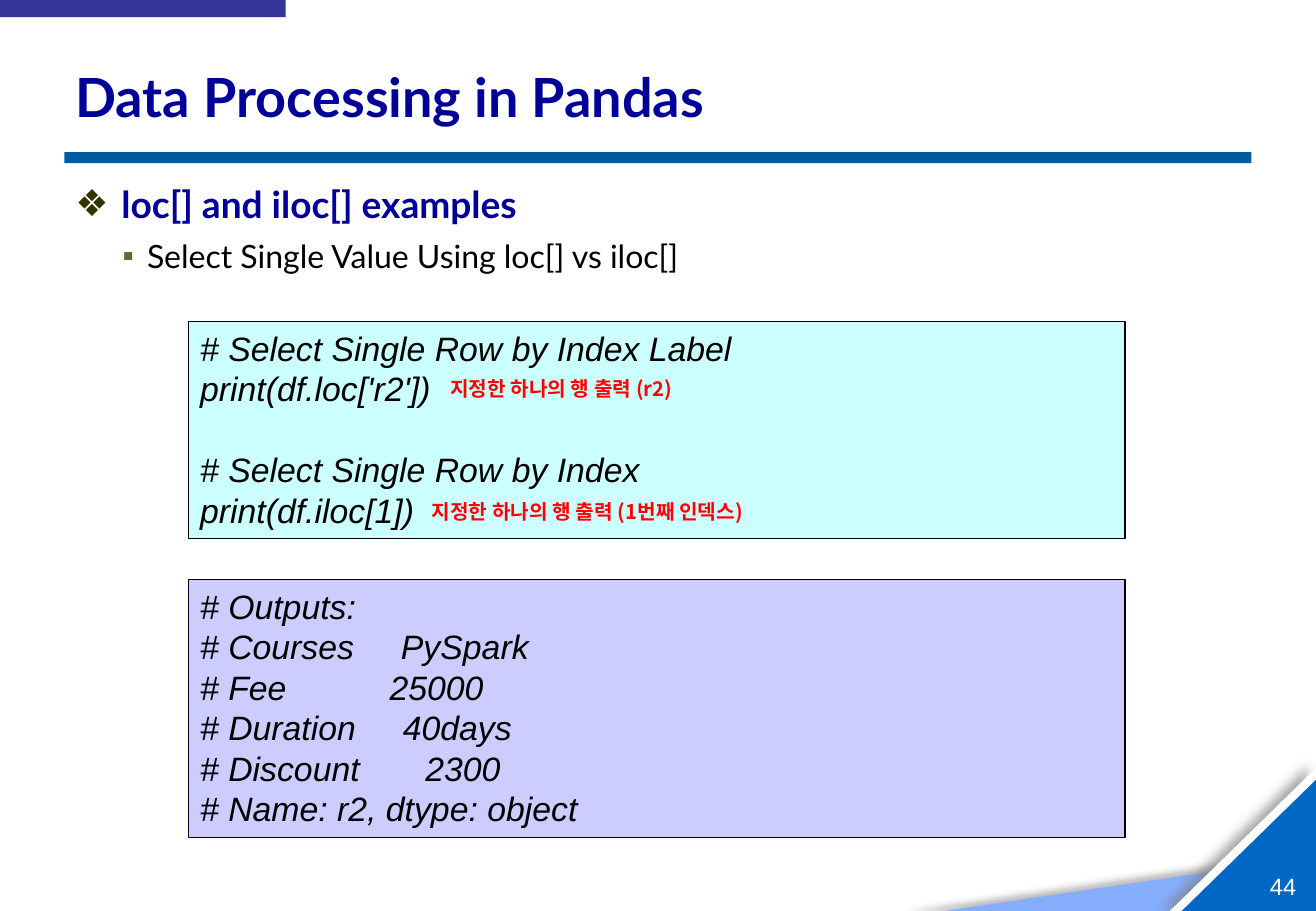
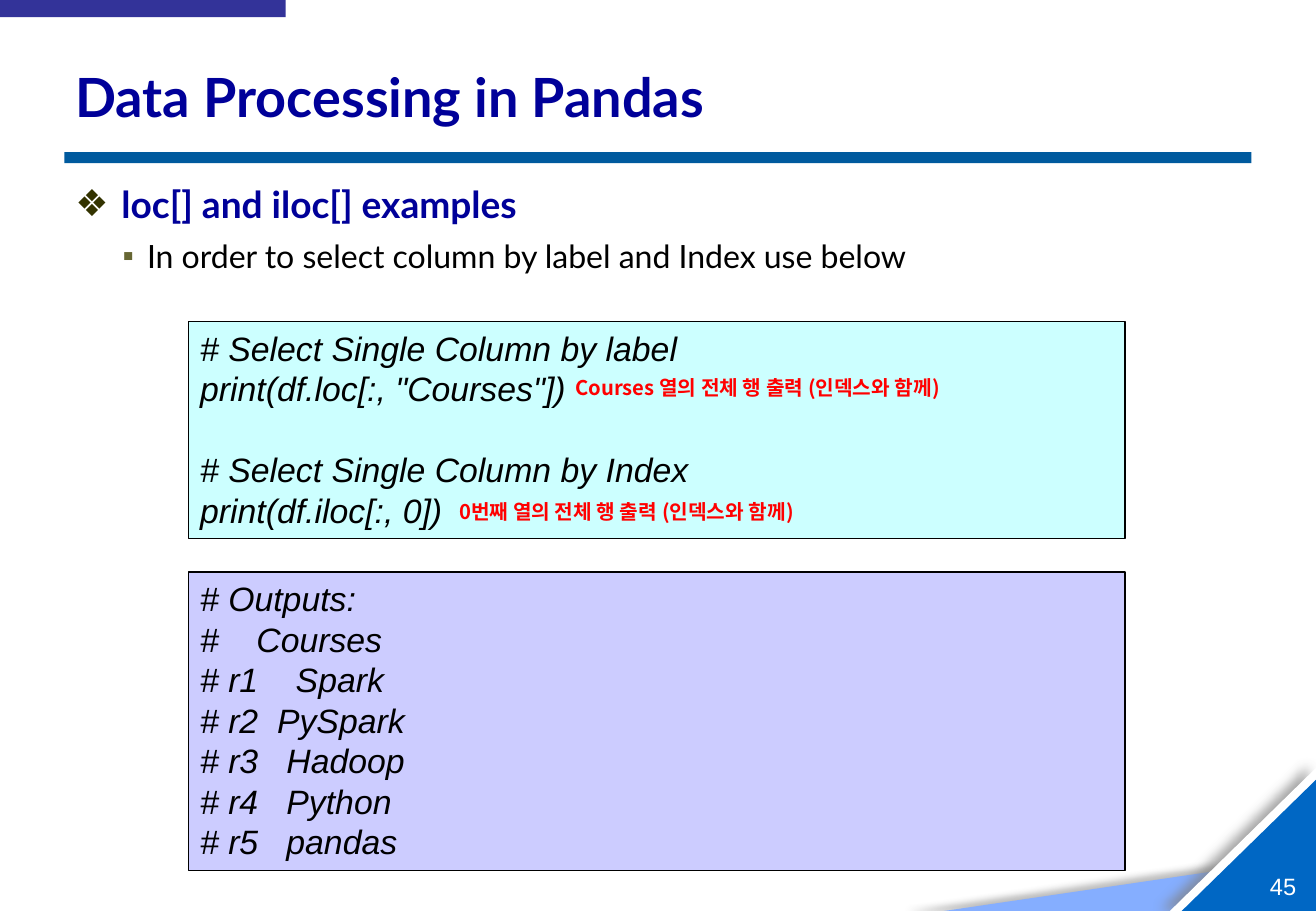
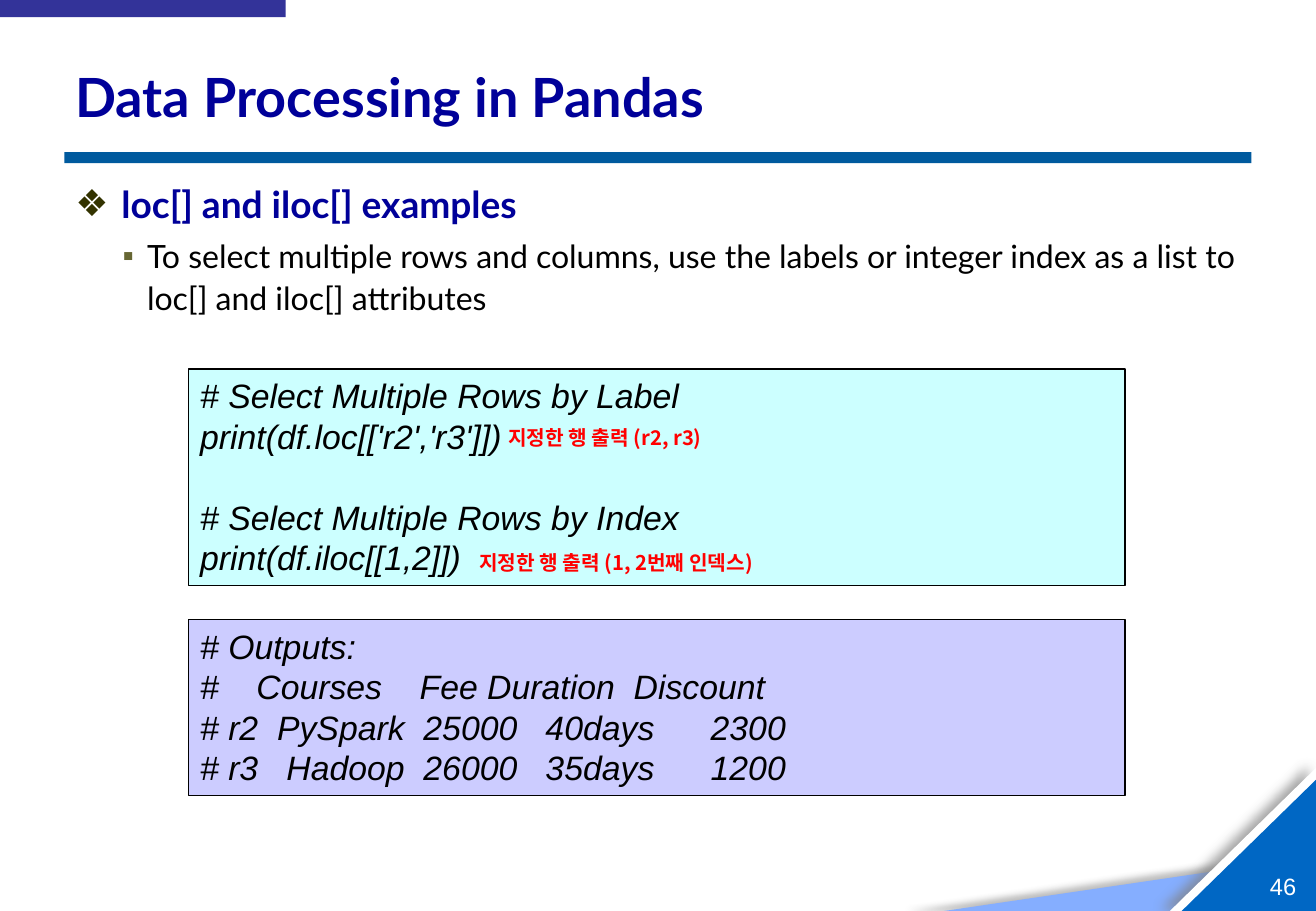
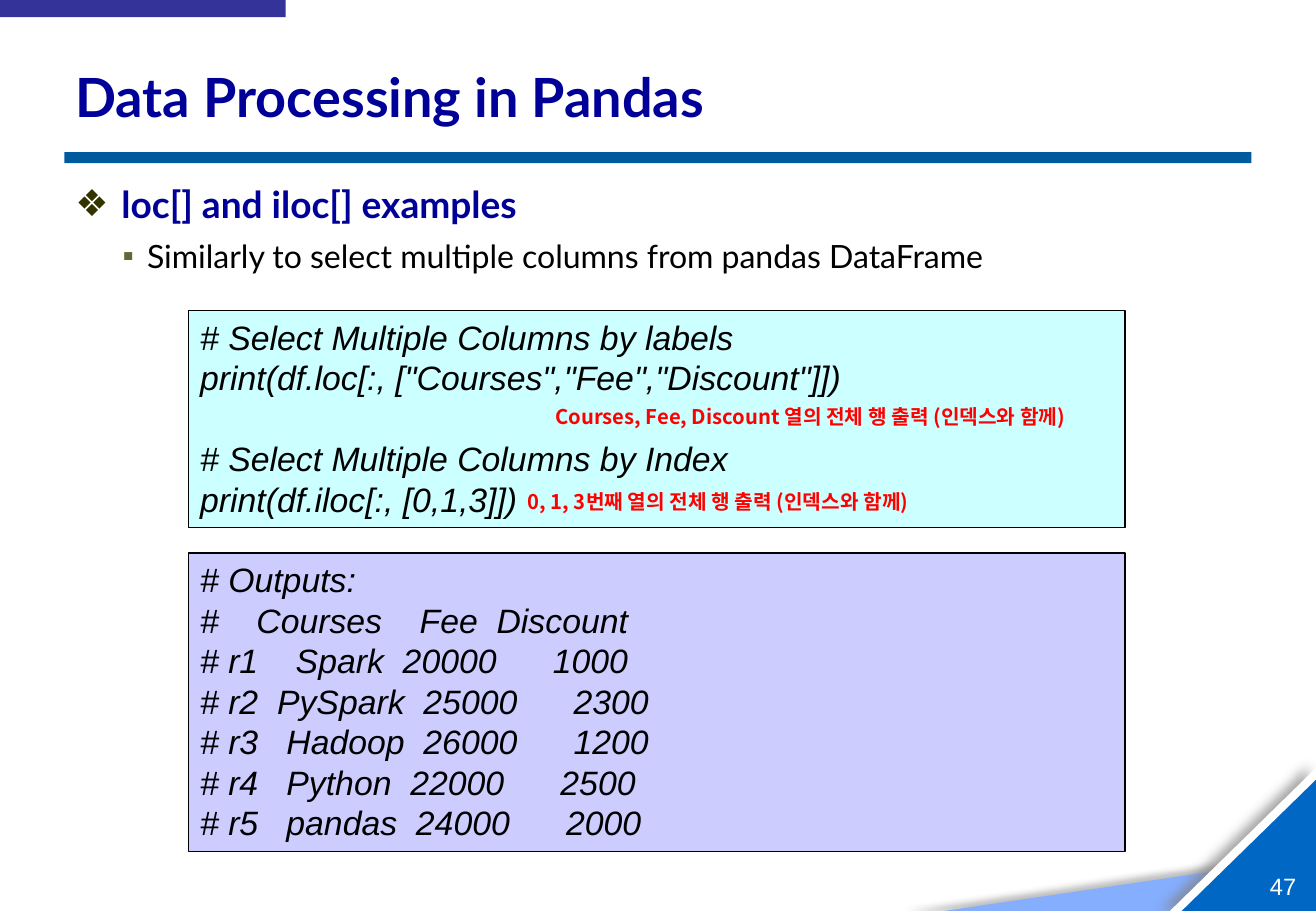
"""Four slides on selecting rows and columns with loc[] and iloc[] in pandas."""
from lxml.etree import SubElement
from pptx import Presentation
from pptx.dml.color import RGBColor
from pptx.enum.shapes import MSO_SHAPE
from pptx.enum.text import MSO_ANCHOR, MSO_AUTO_SIZE, PP_ALIGN
from pptx.oxml.ns import qn
from pptx.util import Inches, Pt

BLACK = RGBColor(0x00, 0x00, 0x00)
WHITE = RGBColor(0xFF, 0xFF, 0xFF)
RED = RGBColor(0xFF, 0x00, 0x00)
NAVY = RGBColor(0x00, 0x00, 0x99)
INDIGO = RGBColor(0x33, 0x33, 0x99)
RULE_BLUE = RGBColor(0x00, 0x5A, 0x9E)
CORNER_BLUE = RGBColor(0x00, 0x67, 0xC4)
PALE_BLUE = RGBColor(0x85, 0xAE, 0xFF)
CYAN = RGBColor(0xCC, 0xFF, 0xFF)
LILAC = RGBColor(0xCC, 0xCC, 0xFF)
DARK_OLIVE = RGBColor(0x33, 0x33, 0x00)
OLIVE = RGBColor(0x66, 0x66, 0x33)
DARK_GREY = RGBColor(0x59, 0x59, 0x59)
GREY = RGBColor(0x80, 0x80, 0x80)

TITLE = dict(name="Lato", size=Pt(32), bold=True, color=NAVY)
HEADING = dict(name="Lato", size=Pt(22), bold=True, color=NAVY)
POINT = dict(name="Lato", size=Pt(19), bold=False, color=BLACK)
CODE = dict(name="Arial", size=Pt(20), italic=True, color=BLACK)
NOTE = dict(name="Noto Sans CJK KR", size=Pt(12), bold=True, color=RED)
NUMBER = dict(name="Arial", size=Pt(14), color=WHITE)

prs = Presentation()
prs.slide_width, prs.slide_height = Inches(10.83), Inches(7.5)
COL, ROW = prs.slide_width / 100, prs.slide_height / 100
LINE = Pt(24)
BOX_LEFT, BOX_WIDTH, LINE_ROWS, PAD_ROWS = 14.3, 71.2, 4.5, 1.3


def cell(left, top, width, height):
    """Turn grid columns and rows into slide lengths."""
    return [round(n * unit) for n, unit in zip((left, top, width, height), (COL, ROW, COL, ROW))]


def write(p, text, style):
    """Add a run to a paragraph in the given style."""
    r = p.add_run()
    r.text = text
    for key, value in style.items():
        if key == "color":
            r.font.color.rgb = value
        else:
            setattr(r.font, key, value)
    SubElement(r.font._element, qn("a:ea"), typeface=style["name"])


SLIDES = [
    dict(
        point="Select Single Value Using loc[] vs iloc[]",
        code=(35.3, ["# Select Single Row by Index Label", "print(df.loc['r2'])",
                     "# Select Single Row by Index", "print(df.iloc[1])"]),
        output=(63.6, ["# Outputs:", "# Courses     PySpark", "# Fee           25000",
                       "# Duration     40days", "# Discount       2300",
                       "# Name: r2, dtype: object"]),
        notes=[(31.9, 54.1, 33.4, "지정한 하나의 행 출력 (1번째 인덱스)"),
               (33.3, 40.7, 22.4, "지정한 하나의 행 출력 (r2)")],
    ),
    dict(
        point="In order to select column by label and Index use below",
        code=(35.3, ["# Select Single Column by label", 'print(df.loc[:, "Courses"])',
                     "# Select Single Column by Index", "print(df.iloc[:, 0])"]),
        output=(62.8, ["# Outputs:", "#    Courses", "# r1    Spark", "# r2  PySpark",
                       "# r3   Hadoop", "# r4   Python", "# r5   pandas"]),
        notes=[(42.8, 40.5, 35.6, "Courses 열의 전체 행 출력 (인덱스와 함께)"),
               (34, 54.1, 35.6, "0번째 열의 전체 행 출력 (인덱스와 함께)")],
    ),
    dict(
        point="To select multiple rows and columns, use the labels or integer index "
              "as a list to loc[] and iloc[] attributes",
        code=(40.5, ["# Select Multiple Rows by Label", "print(df.loc[['r2','r3']])",
                     "# Select Multiple Rows by Index", "print(df.iloc[[1,2]])"]),
        output=(68, ["# Outputs:", "#    Courses    Fee Duration  Discount",
                     "# r2  PySpark  25000   40days      2300",
                     "# r3   Hadoop  26000   35days      1200"]),
        notes=[(37.7, 46, 22.4, "지정한 행 출력 (r2, r3)"),
               (35.5, 59.7, 26.9, "지정한 행 출력 (1, 2번째 인덱스)")],
    ),
    dict(
        point="Similarly to select multiple columns from pandas DataFrame",
        code=(34.1, ["# Select Multiple Columns by labels",
                     'print(df.loc[:, ["Courses","Fee","Discount"]])',
                     "# Select Multiple Columns by Index", "print(df.iloc[:, [0,1,3]])"]),
        output=(60.7, ["# Outputs:", "#    Courses    Fee  Discount",
                       "# r1    Spark  20000      1000", "# r2  PySpark  25000      2300",
                       "# r3   Hadoop  26000      1200", "# r4   Python  22000      2500",
                       "# r5   pandas  24000      2000"]),
        notes=[(41.3, 43.7, 44.2, "Courses, Fee, Discount 열의 전체 행 출력 (인덱스와 함께)"),
               (39.2, 53.1, 35.6, "0, 1, 3번째 열의 전체 행 출력 (인덱스와 함께)")],
    ),
]

layout = prs.slide_layouts[1]
slides = [prs.slides.add_slide(layout) for _ in SLIDES]

for holder, at in zip(layout.placeholders, [(4.8, 5.3, 90.2, 10.4), (4.8, 19.2, 90.2, 76.5)]):
    holder.left, holder.top, holder.width, holder.height = cell(*at)

DECOR = [
    (MSO_SHAPE.RIGHT_TRIANGLE, (71.74, 94, 28.26, 6), PALE_BLUE, (DARK_GREY, 40, 4, 22, 180)),
    (MSO_SHAPE.RIGHT_TRIANGLE, (88.9, 84.3, 11.1, 15.7), WHITE, (GREY, 69, 7, 5, 190)),
    (MSO_SHAPE.RIGHT_TRIANGLE, (89.8, 85.6, 10.2, 14.4), CORNER_BLUE, None),
    (MSO_SHAPE.RECTANGLE, (4.9, 16.7, 90.2, 1.2), RULE_BLUE, None),
    (MSO_SHAPE.RECTANGLE, (0, 0, 21.7, 1.9), INDIGO, None),
]
for kind, at, fill, shadow in DECOR:
    sp = slides[0].shapes.add_shape(kind, *cell(*at))
    sp.fill.solid()
    sp.fill.fore_color.rgb = fill
    sp.line.fill.background()
    sp.shadow.inherit = False
    if kind == MSO_SHAPE.RIGHT_TRIANGLE:
        sp.element.spPr.get_or_add_xfrm().set("flipH", "1")
    if shadow:
        color, alpha, blur, dist, angle = shadow
        effects = sp.element.spPr.find(qn("a:effectLst"))
        outer = SubElement(effects, qn("a:outerShdw"), blurRad=str(Pt(blur)), dist=str(Pt(dist)),
                           dir=str(angle * 60000), algn="ctr", rotWithShape="0")
        clr = SubElement(outer, qn("a:srgbClr"), val=str(color))
        SubElement(clr, qn("a:alpha"), val=str(alpha * 1000))
    layout.shapes.element.append(sp.element)

for number, (s, content) in enumerate(zip(slides, SLIDES), 44):
    tf = s.shapes.title.text_frame
    tf.auto_size = MSO_AUTO_SIZE.NONE
    tf.vertical_anchor = MSO_ANCHOR.MIDDLE
    p = tf.paragraphs[0]
    p.alignment = PP_ALIGN.LEFT
    write(p, "Data Processing in Pandas", TITLE)

    tf = s.placeholders[1].text_frame
    tf.auto_size = MSO_AUTO_SIZE.NONE
    tf.add_paragraph()
    bullets = [
        ("loc[] and iloc[] examples", HEADING, "❖", DARK_OLIVE, 0.38, -0.38,
         dict(level=0, space_before=Pt(0))),
        (content["point"], POINT, "▪", OLIVE, 0.59, -0.2,
         dict(level=1, line_spacing=1.1, space_before=Pt(4), space_after=Pt(1))),
    ]
    for p, (text, style, mark, color, margin, indent, spacing) in zip(tf.paragraphs, bullets):
        pPr = p._p.get_or_add_pPr()
        pPr.set("marL", str(Inches(margin)))
        pPr.set("indent", str(Inches(indent)))
        SubElement(SubElement(pPr, qn("a:buClr")), qn("a:srgbClr"), val=str(color))
        SubElement(pPr, qn("a:buFont"), typeface="Arial")
        SubElement(pPr, qn("a:buChar"), char=mark)
        for key, value in spacing.items():
            setattr(p, key, value)
        write(p, text, style)

    for part, fill, gap_lines in [("code", CYAN, 1), ("output", LILAC, 0)]:
        top, lines = content[part]
        height = (len(lines) + gap_lines) * LINE_ROWS + PAD_ROWS
        sp = s.shapes.add_shape(MSO_SHAPE.RECTANGLE, *cell(BOX_LEFT, top, BOX_WIDTH, height))
        sp.shadow.inherit = False
        sp.fill.solid()
        sp.fill.fore_color.rgb = fill
        sp.line.color.rgb = BLACK
        sp.line.width = Pt(0.75)
        tf = sp.text_frame
        tf.word_wrap = True
        tf.vertical_anchor = MSO_ANCHOR.TOP
        for i, line in enumerate(lines):
            p = tf.add_paragraph() if i else tf.paragraphs[0]
            p.alignment = PP_ALIGN.LEFT
            p.line_spacing = LINE
            if gap_lines and i == 2:
                p.space_before = LINE
            write(p, line, CODE)

    for left, top, width, text in content["notes"]:
        tf = s.shapes.add_textbox(*cell(left, top, width, 4)).text_frame
        tf.word_wrap = True
        write(tf.paragraphs[0], text, NOTE)

    tf = s.shapes.add_textbox(*cell(96.5, 95.7, 2.3, 3.2)).text_frame
    tf.word_wrap = False
    tf.vertical_anchor = MSO_ANCHOR.MIDDLE
    for side in ("left", "top", "right", "bottom"):
        setattr(tf, f"margin_{side}", 0)
    write(tf.paragraphs[0], str(number), NUMBER)

prs.save("out.pptx")
